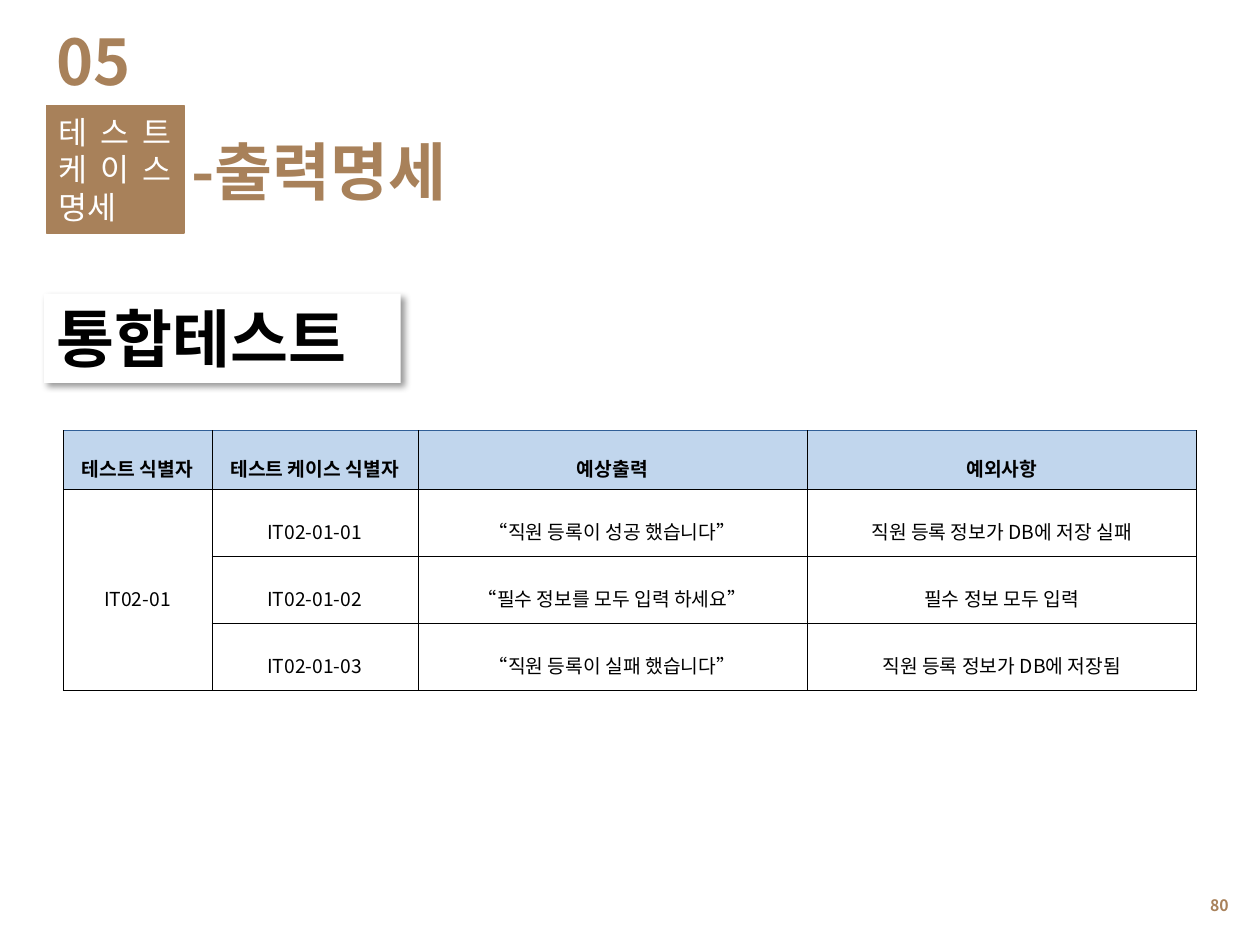
from dataclasses import dataclass

import pptx
import pptx.dml.color
import pptx.enum.shapes
import pptx.enum.text
import pptx.oxml
import pptx.oxml.ns
import pptx.util
from lxml import etree

Cm = pptx.util.Cm
Align = pptx.enum.text.PP_ALIGN
Anchor = pptx.enum.text.MSO_ANCHOR
FONT = "Noto Sans CJK KR"
BROWN = "A8815A"
BLACK = "000000"
WHITE = "FFFFFF"
HEADER_FILL = "C1D6ED"
HEADER_EDGE = "315F97"


@dataclass
class Block:
    text: str
    left: float
    top: float
    width: float
    height: float
    size: float = 36
    color: str = BROWN
    bold: bool = True
    align: Align = Align.LEFT
    anchor: Anchor = Anchor.TOP
    fill: str | None = None
    line: str | None = None


BLOCKS = [
    Block("80", 19.1, 17.73, 5.92, 1.02, size=9, align=Align.RIGHT, anchor=Anchor.MIDDLE),
    Block("테스트 케이스명세", 0.94, 2.13, 2.77, 2.57, size=18, color=WHITE, bold=False,
          align=Align.JUSTIFY, anchor=Anchor.MIDDLE, fill=BROWN, line=BROWN),
    Block("05", 0.89, 0.33, 3.2, 1.8),
    Block("-출력명세", 3.61, 2.54, 20.4, 1.8),
]
SECTION = Block("통합테스트", 0.89, 5.92, 7.19, 1.8, color=BLACK, fill=WHITE)

COLUMN_WIDTHS = [3, 4.15, 7.85, 7.85]
ROW_HEIGHTS = [1.18, 1.35, 1.35, 1.35]
ROWS = [
    ["테스트 식별자", "테스트 케이스 식별자", "예상출력", "예외사항"],
    ["IT02-01", "IT02-01-01", "“직원 등록이 성공 했습니다”", "직원 등록 정보가 DB에 저장 실패"],
    ["", "IT02-01-02", "“필수 정보를 모두 입력 하세요”", "필수 정보 모두 입력"],
    ["", "IT02-01-03", "“직원 등록이 실패 했습니다”", "직원 등록 정보가 DB에 저장됨"],
]


def rgb(color: str) -> pptx.dml.color.RGBColor:
    return pptx.dml.color.RGBColor.from_string(color)


def write_text(text_frame, text: str, *, size: float, color: str, bold: bool,
               align: Align, line_spacing: float | None = None) -> None:
    paragraph = text_frame.paragraphs[0]
    paragraph.alignment = align
    paragraph.line_spacing = line_spacing
    run = paragraph.add_run()
    run.text = text
    font = run.font
    font.name = FONT
    font.size = pptx.util.Pt(size)
    font.bold = bold
    font.color.rgb = rgb(color)
    east_asian = etree.SubElement(run._r.get_or_add_rPr(), pptx.oxml.ns.qn("a:ea"))
    east_asian.set("typeface", FONT)


def add_block(slide, block: Block):
    frame = [Cm(length) for length in (block.left, block.top, block.width, block.height)]
    if block.fill:
        shape = slide.shapes.add_shape(pptx.enum.shapes.MSO_SHAPE.RECTANGLE, *frame)
        shape.shadow.inherit = False
        shape.fill.solid()
        shape.fill.fore_color.rgb = rgb(block.fill)
        if block.line:
            shape.line.color.rgb = rgb(block.line)
            shape.line.width = pptx.util.Pt(0.75)
        else:
            shape.line.fill.background()
    else:
        shape = slide.shapes.add_textbox(*frame)
    shape.text_frame.word_wrap = True
    shape.text_frame.vertical_anchor = block.anchor
    write_text(shape.text_frame, block.text, size=block.size, color=block.color,
               bold=block.bold, align=block.align)
    return shape


def add_shadow(shape) -> None:
    effects = shape._element.spPr.find(pptx.oxml.ns.qn("a:effectLst"))
    effects.append(pptx.oxml.parse_xml(
        f'<a:outerShdw {pptx.oxml.ns.nsdecls("a")} blurRad="{pptx.util.Pt(4)}" '
        f'dist="{pptx.util.Pt(3)}" dir="{45 * 60000}" algn="tl" rotWithShape="0">'
        f'<a:srgbClr val="{BLACK}"><a:alpha val="40000"/></a:srgbClr></a:outerShdw>'))


def set_border(cell, side: str, color: str) -> None:
    cell._tc.get_or_add_tcPr().append(pptx.oxml.parse_xml(
        f'<a:ln{side} {pptx.oxml.ns.nsdecls("a")} w="{pptx.util.Pt(0.25)}">'
        f'<a:solidFill><a:srgbClr val="{color}"/></a:solidFill></a:ln{side}>'))


def format_cell(cell, text: str, is_header: bool) -> None:
    cell.margin_left = cell.margin_right = Cm(0.18)
    cell.margin_top = cell.margin_bottom = Cm(0.05)
    cell.vertical_anchor = Anchor.MIDDLE
    for side in "LRTB":
        set_border(cell, side, HEADER_EDGE if is_header and side == "T" else BLACK)
    cell.fill.solid()
    cell.fill.fore_color.rgb = rgb(HEADER_FILL if is_header else WHITE)
    if text:
        write_text(cell.text_frame, text, size=11, color=BLACK, bold=is_header,
                   align=Align.CENTER, line_spacing=1.6)


def add_case_table(slide) -> None:
    table = slide.shapes.add_table(
        len(ROWS), len(COLUMN_WIDTHS), Cm(1.27), Cm(8.68),
        Cm(sum(COLUMN_WIDTHS)), Cm(sum(ROW_HEIGHTS))).table
    for column, width in zip(table.columns, COLUMN_WIDTHS):
        column.width = Cm(width)
    for row, height in zip(table.rows, ROW_HEIGHTS):
        row.height = Cm(height)
    for row_index, texts in enumerate(ROWS):
        for column_index, text in enumerate(texts):
            format_cell(table.cell(row_index, column_index), text, row_index == 0)
    table.cell(1, 0).merge(table.cell(3, 0))


def main() -> None:
    presentation = pptx.Presentation()
    presentation.slide_width = Cm(25.4)
    presentation.slide_height = Cm(19.05)
    slide = presentation.slides.add_slide(presentation.slide_layouts[6])
    for block in BLOCKS:
        add_block(slide, block)
    add_shadow(add_block(slide, SECTION))
    add_case_table(slide)
    presentation.save("out.pptx")


if __name__ == "__main__":
    main()
